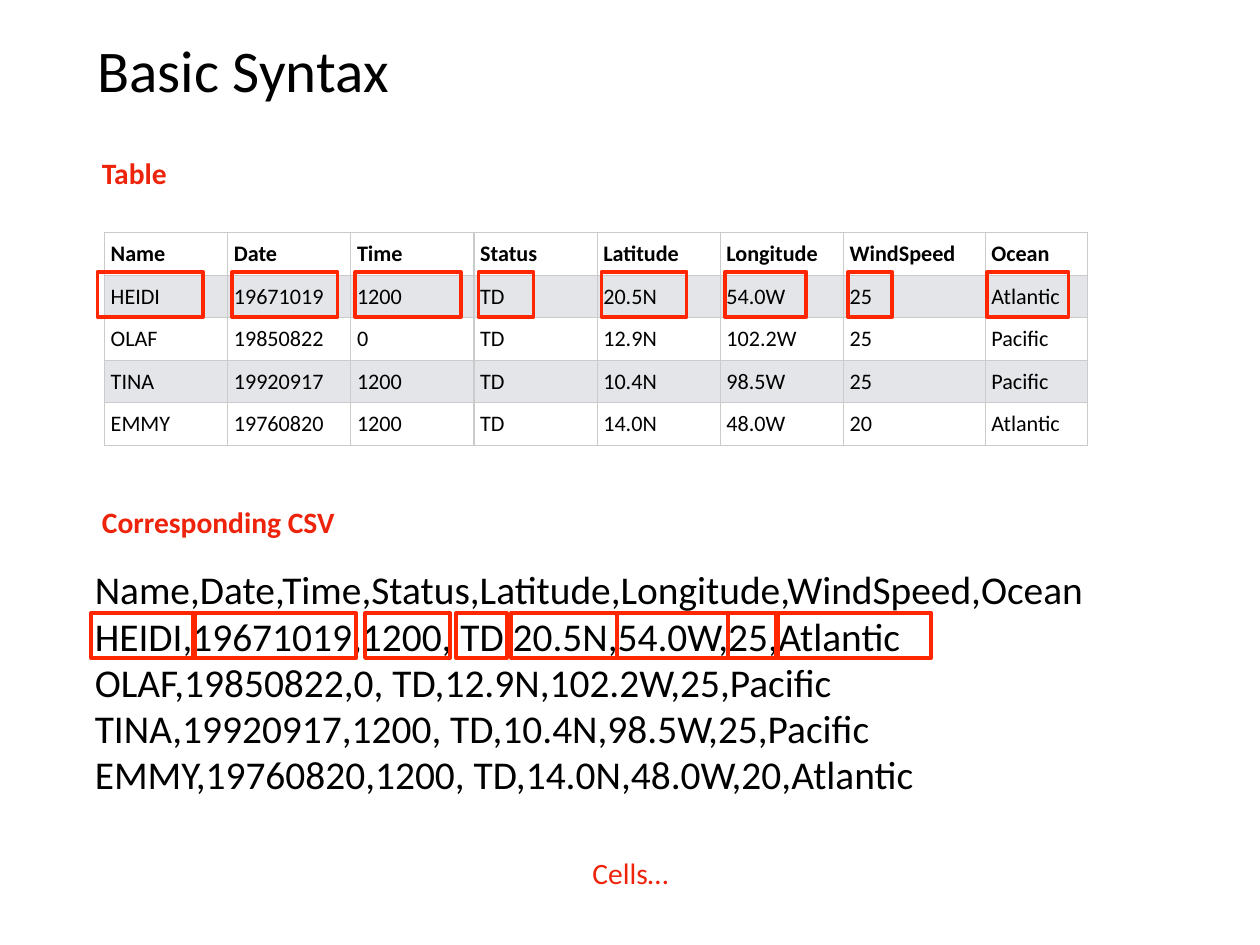
import pptx
import pptx.dml.color
import pptx.enum.shapes
import pptx.enum.text
import pptx.oxml
import pptx.oxml.ns
import pptx.util

Inches = pptx.util.Inches
Pt = pptx.util.Pt
ALIGN = pptx.enum.text.PP_ALIGN
ANCHOR = pptx.enum.text.MSO_ANCHOR
FIT = pptx.enum.text.MSO_AUTO_SIZE

FONT = "Calibri"
COLORS = {"text": "000000", "label": "EE230C", "highlight": "FF2600",
          "border": "CBCBCB", "plain": "FFFFFF", "band": "E3E5E8"}

TITLE = "Basic Syntax"
STORMS = [
    ["Name", "Date", "Time", "Status", "Latitude", "Longitude", "WindSpeed", "Ocean"],
    ["HEIDI", "19671019", "1200", "TD", "20.5N", "54.0W", "25", "Atlantic"],
    ["OLAF", "19850822", "0", "TD", "12.9N", "102.2W", "25", "Pacific"],
    ["TINA", "19920917", "1200", "TD", "10.4N", "98.5W", "25", "Pacific"],
    ["EMMY", "19760820", "1200", "TD", "14.0N", "48.0W", "20", "Atlantic"],
]
CSV_LINES = [",".join(storm).replace(",TD", ", TD") for storm in STORMS]
COLUMN_WIDTHS = [1.39] * 6 + [1.6, 1.15]
ROW_HEIGHT = 0.48

# text, left, top, width, bold, alignment
LABELS = [
    ("Table", 1.09, 1.7, 1.07, True, ALIGN.LEFT),
    ("Corresponding CSV", 1.09, 5.64, 3.41, True, ALIGN.LEFT),
    ("Cells…", 6.55, 9.6, 1.13, False, ALIGN.CENTER),
]
# top of each row of frames: (left, width) of every frame
HIGHLIGHTS = {
    3.07: [(1.1, 1.19), (2.62, 1.19), (4.01, 1.19), (5.4, 0.62),
           (6.79, 0.96), (8.18, 0.92), (9.57, 0.5), (11.14, 0.92)],
    6.92: [(1.03, 1.17), (2.18, 1.84), (4.12, 0.96), (5.15, 0.57),
           (5.77, 1.19), (6.97, 1.24), (8.22, 0.54), (8.78, 1.73)],
}
HIGHLIGHT_HEIGHT = 0.51


def rgb(name):
    return pptx.dml.color.RGBColor.from_string(COLORS[name])


def place(shape, left, top, width, height):
    shape.left, shape.top = Inches(left), Inches(top)
    shape.width, shape.height = Inches(width), Inches(height)


def set_frame(frame, anchor, wrap=True, fit=FIT.NONE):
    frame.margin_left = frame.margin_right = Inches(0.06)
    frame.margin_top = frame.margin_bottom = Inches(0.06)
    frame.vertical_anchor = anchor
    frame.word_wrap = wrap
    frame.auto_size = fit


def write(para, text, size, color="text", bold=False, align=ALIGN.LEFT):
    para.alignment = align
    span = para.add_run()
    span.text = text
    span.font.name = FONT
    span.font.size = Pt(size)
    span.font.bold = bold
    span.font.color.rgb = rgb(color)


def add_borders(cell):
    properties = cell._tc.get_or_add_tcPr()
    for side in ("lnL", "lnR", "lnT", "lnB"):
        properties.append(pptx.oxml.parse_xml(
            f'<a:{side} {pptx.oxml.ns.nsdecls("a")} w="{Pt(1)}"><a:solidFill>'
            f'<a:srgbClr val="{COLORS["border"]}"/></a:solidFill></a:{side}>'))


def add_title(page):
    title = page.shapes.title
    place(title, 1.04, 0.28, 12.14, 0.99)
    set_frame(title.text_frame, ANCHOR.MIDDLE)
    write(title.text_frame.paragraphs[0], TITLE, 48)


def add_csv(page):
    body = page.placeholders[1]
    place(body, 1.01, 6.35, 12.72, 3.78)
    frame = body.text_frame
    set_frame(frame, ANCHOR.TOP)
    for index, line in enumerate(CSV_LINES):
        para = frame.add_paragraph() if index else frame.paragraphs[0]
        properties = para._p.get_or_add_pPr()
        properties.set("marL", "0")
        properties.set("indent", "0")
        properties.append(pptx.oxml.parse_xml(
            f'<a:buNone {pptx.oxml.ns.nsdecls("a")}/>'))
        para.space_before = Pt(0)
        para.line_spacing = 0.98
        write(para, line, 32)


def add_storm_table(page):
    table = page.shapes.add_table(
        len(STORMS), len(COLUMN_WIDTHS), Inches(1.18), Inches(2.63),
        Inches(sum(COLUMN_WIDTHS)), Inches(ROW_HEIGHT * len(STORMS))).table
    table.first_row = table.horz_banding = False
    for column, width in zip(table.columns, COLUMN_WIDTHS):
        column.width = Inches(width)
    for row_index, storm in enumerate(STORMS):
        table.rows[row_index].height = Inches(ROW_HEIGHT)
        for column_index, value in enumerate(storm):
            cell = table.cell(row_index, column_index)
            cell.margin_left = cell.margin_right = Inches(0.07)
            cell.margin_top = cell.margin_bottom = 0
            cell.vertical_anchor = ANCHOR.MIDDLE
            add_borders(cell)
            cell.fill.solid()
            cell.fill.fore_color.rgb = rgb("band" if row_index % 2 else "plain")
            write(cell.text_frame.paragraphs[0], value, 18, bold=row_index == 0)


def add_labels(page):
    for text, left, top, width, bold, align in LABELS:
        box = page.shapes.add_textbox(
            Inches(left), Inches(top), Inches(width), Inches(0.5))
        set_frame(box.text_frame, ANCHOR.MIDDLE, False, FIT.SHAPE_TO_FIT_TEXT)
        write(box.text_frame.paragraphs[0], text, 24, "label", bold, align)


def add_highlights(page):
    for top, spans in HIGHLIGHTS.items():
        for left, width in spans:
            box = page.shapes.add_shape(
                pptx.enum.shapes.MSO_SHAPE.RECTANGLE, Inches(left), Inches(top),
                Inches(width), Inches(HIGHLIGHT_HEIGHT))
            box.shadow.inherit = False
            box.fill.background()
            box.line.color.rgb = rgb("highlight")
            box.line.width = Pt(3)


def main():
    deck = pptx.Presentation()
    deck.slide_width, deck.slide_height = Inches(14.22), Inches(10.67)
    page = deck.slides.add_slide(deck.slide_layouts[1])
    add_title(page)
    add_csv(page)
    add_storm_table(page)
    add_labels(page)
    add_highlights(page)
    deck.save("out.pptx")


if __name__ == "__main__":
    main()
